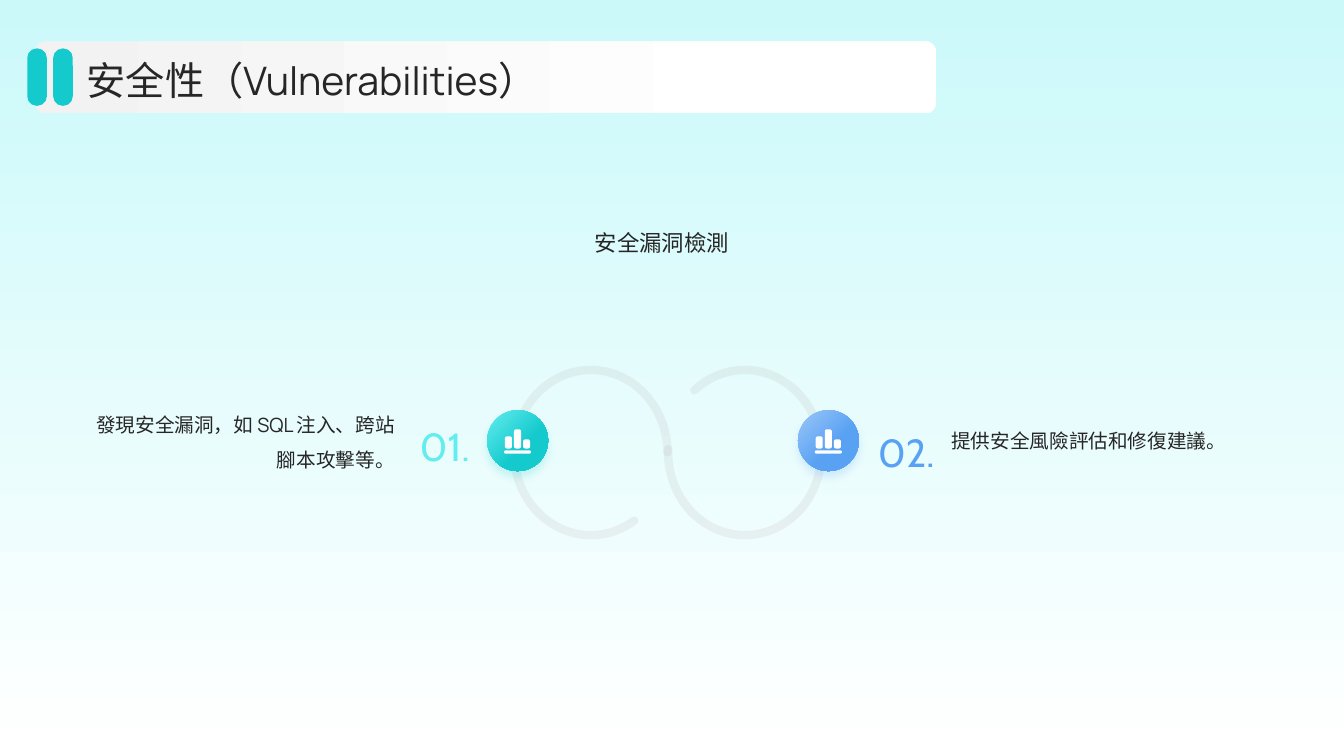
"""Build a slide on vulnerability detection with two numbered findings."""
import math

from lxml import etree
from pptx import Presentation
from pptx import util as u
from pptx.dml.color import RGBColor
from pptx.enum import shapes, text
from pptx.oxml import ns

INK = RGBColor(0x26, 0x26, 0x26)
WHITE = RGBColor(0xFF, 0xFF, 0xFF)
GREY = RGBColor(0xF2, 0xF2, 0xF2)
LOOP_GREY = RGBColor(0xBF, 0xBF, 0xBF)
SKY = RGBColor(0xCB, 0xF9, 0xFA)
TEAL = RGBColor(0x15, 0xCA, 0xCD)
TEAL_LIGHT = RGBColor(0x64, 0xED, 0xEF)
BLUE = RGBColor(0x58, 0xA1, 0xF3)
BLUE_LIGHT = RGBColor(0x9B, 0xC7, 0xF8)

KIND = shapes.MSO_AUTO_SHAPE_TYPE
LEFT, CENTER, RIGHT = text.PP_ALIGN.LEFT, text.PP_ALIGN.CENTER, text.PP_ALIGN.RIGHT
TOP, MIDDLE, BOTTOM = text.MSO_ANCHOR.TOP, text.MSO_ANCHOR.MIDDLE, text.MSO_ANCHOR.BOTTOM
ICON_BARS = ((0, 15.1, 19.4, 2.2, 1.1), (0.7, 5, 5, 8.7, 1.5),
             (7.2, 0, 5, 13.7, 1.5), (13.7, 7.2, 5, 6.5, 1.5))


def child(parent, tag, **attributes):
    """Append a drawing element to its parent."""
    return etree.SubElement(parent, ns.qn(tag), attributes)


def paint(fill, colors, stop=1, angle=0):
    """Fill with one colour, or with a gradient between two."""
    if isinstance(colors, RGBColor):
        fill.solid()
        fill.fore_color.rgb = colors
        return
    fill.gradient()
    fill.gradient_angle = angle
    for gradient_stop, color, position in zip(fill.gradient_stops, colors, (0, stop)):
        gradient_stop.color.rgb = color
        gradient_stop.position = position


def write(shape, words, size=14, font="Manrope", color=INK, align=LEFT, anchor=TOP,
          spacing=1.5, inset=True, wrap=True):
    """Put one formatted paragraph in a shape."""
    frame = shape.text_frame
    frame.auto_size = text.MSO_AUTO_SIZE.NONE if wrap else text.MSO_AUTO_SIZE.SHAPE_TO_FIT_TEXT
    frame.word_wrap = wrap
    frame.vertical_anchor = anchor
    if not inset:
        frame.margin_left = frame.margin_right = frame.margin_top = frame.margin_bottom = 0
    paragraph = frame.paragraphs[0]
    paragraph.alignment = align
    paragraph.line_spacing = spacing
    paragraph.space_before = u.Pt(0)
    run = paragraph.add_run()
    run.text = words
    run.font.size = u.Pt(size)
    paint(run.font.fill, color, 0.6, 315)
    run.font.name = font
    child(run.font._element, "a:ea", typeface=font)
    if shape.is_placeholder:
        properties = paragraph._p.get_or_add_pPr()
        properties.set("marL", "0")
        properties.set("indent", "0")
        child(properties, "a:buNone")


def rounded_outline(left, top, width, height, radius, steps=6):
    """Return the outline of a rounded rectangle."""
    corners = ((left + width - radius, top + height - radius), (left + radius, top + height - radius),
               (left + radius, top + radius), (left + width - radius, top + radius))
    return [(u.Pt(x + radius * math.cos(turn)), u.Pt(y + radius * math.sin(turn)))
            for quarter, (x, y) in enumerate(corners)
            for turn in (math.pi / 2 * (quarter + step / steps) for step in range(steps + 1))]


class Deck:
    """Draw styled elements on the current slide, in points."""

    def __init__(self, width, height, layout):
        self.presentation = Presentation()
        self.presentation.slide_width = u.Pt(width)
        self.presentation.slide_height = u.Pt(height)
        self.slide = self.presentation.slides.add_slide(self.presentation.slide_layouts[layout])

    def shape(self, kind, left, top, width, height, colors=None, stop=1, angle=0, corner=None):
        """Add a borderless preset shape."""
        shape = self.slide.shapes.add_shape(kind, u.Pt(left), u.Pt(top), u.Pt(width), u.Pt(height))
        shape.shadow.inherit = False
        shape.line.fill.background()
        if colors is None:
            shape.fill.background()
        else:
            paint(shape.fill, colors, stop, angle)
        if corner is not None:
            shape.adjustments[0] = corner
        return shape

    def loop(self, left, start, end, flipped=False):
        """Add a translucent open ring."""
        arc = self.shape(KIND.ARC, left, 268.5, 118, 109.5)
        arc.adjustments[0], arc.adjustments[1] = start, end
        arc.rotation = 270
        if flipped:
            arc._element.spPr.xfrm.set("flipV", "1")
        arc.line.color.rgb = LOOP_GREY
        arc.line.width = u.Pt(6)
        outline = arc.line._get_or_add_ln()
        outline.set("cap", "rnd")
        child(outline.find(".//" + ns.qn("a:srgbClr")), "a:alpha", val="20000")

    def badge(self, left, top, colors):
        """Add a shadowed disc with a bar chart icon."""
        disc = self.shape(KIND.OVAL, left, top, 43.5, 43.5, colors, 0.6, 315)
        effects = disc._element.spPr.find(ns.qn("a:effectLst"))
        shadow = child(effects, "a:outerShdw", blurRad=str(u.Pt(6)), dist=str(u.Pt(4)),
                       dir="5400000", algn="t", rotWithShape="0")
        child(child(shadow, "a:srgbClr", val=str(colors[1])), "a:alpha", val="20000")
        outlines = [rounded_outline(left + 12 + x, top + 13.7 + y, width, height, radius)
                    for x, y, width, height, radius in ICON_BARS]
        builder = self.slide.shapes.build_freeform(*outlines[0][0])
        for outline in outlines:
            builder.move_to(*outline[0])
            builder.add_line_segments(outline[1:])
        icon = builder.convert_to_shape()
        icon.shadow.inherit = False
        icon.line.fill.background()
        paint(icon.fill, WHITE)

    def label(self, words, left, top, width, height, **style):
        """Add a text box."""
        box = self.slide.shapes.add_textbox(u.Pt(left), u.Pt(top), u.Pt(width), u.Pt(height))
        write(box, words, **style)

    def placeholder(self, index, words, left, top, width, height, **style):
        """Move a placeholder to the front and write in it."""
        holder = self.slide.placeholders[index]
        holder.left, holder.top = u.Pt(left), u.Pt(top)
        holder.width, holder.height = u.Pt(width), u.Pt(height)
        holder._element.getparent().append(holder._element)
        write(holder, words, inset=False, **style)


def main():
    """Compose and save the slide."""
    deck = Deck(960, 540, layout=3)
    deck.shape(KIND.RECTANGLE, 0, 0, 960, 540, (SKY, WHITE), angle=270)
    deck.loop(363, 88.45, 53.89)
    deck.loop(473, 52.51, 23.39, flipped=True)

    number = dict(size=28, font="Cabin", spacing=1.1, wrap=False)
    deck.label("02.", 620, 299, 60.5, 38, color=BLUE, **number)
    deck.label("01.", 286.5, 294.5, 56, 38, color=(TEAL_LIGHT, TEAL), align=RIGHT, **number)
    deck.label("安全漏洞檢測", 85, 115, 775.5, 68, size=16, align=CENTER, anchor=BOTTOM, inset=False)
    deck.placeholder(1, "發現安全漏洞，如 SQL 注入、跨站腳本攻擊等。", 62.5, 286.5, 219.6, 87, align=RIGHT)
    deck.placeholder(2, "提供安全風險評估和修復建議。", 679.5, 298, 219.6, 87)
    deck.badge(348, 293, (TEAL_LIGHT, TEAL))
    deck.badge(570, 293, (BLUE_LIGHT, BLUE))

    deck.shape(KIND.ROUNDED_RECTANGLE, 25, 29.5, 643.5, 51.5, (GREY, WHITE), 0.8, corner=0.14)
    deck.placeholder(0, "安全性（Vulnerabilities）", 62, 36.7, 840, 37, size=28, anchor=MIDDLE, spacing=1.1)
    for left in (19.5, 38):
        deck.shape(KIND.ROUNDED_RECTANGLE, left, 34.6, 14, 41, TEAL, corner=0.48)
    deck.presentation.save("out.pptx")


if __name__ == "__main__":
    main()
